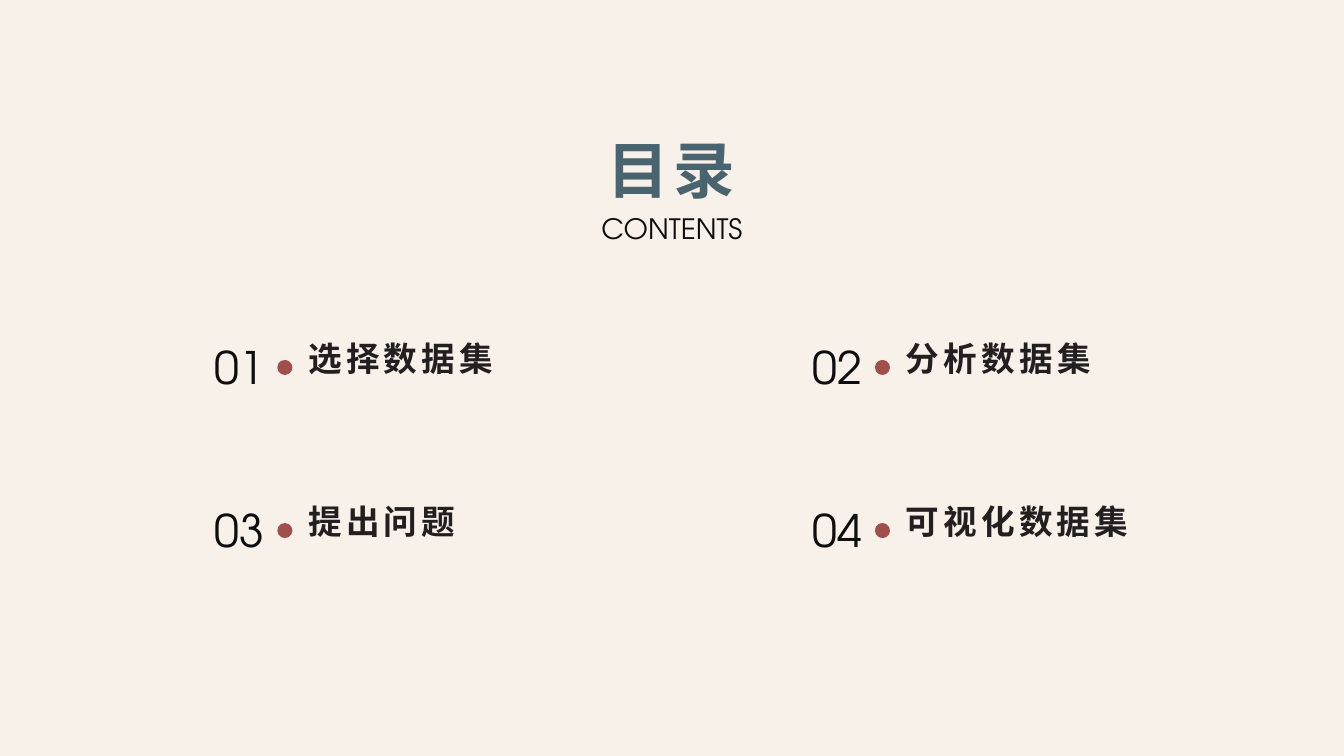
from lxml import etree
from pptx import Presentation
from pptx.dml.color import RGBColor
from pptx.enum.shapes import MSO_SHAPE
from pptx.enum.text import MSO_ANCHOR, MSO_AUTO_SIZE, PP_ALIGN
from pptx.oxml.ns import qn
from pptx.util import Cm, Pt

OVAL = MSO_SHAPE.OVAL
TOP = MSO_ANCHOR.TOP
GROW = MSO_AUTO_SIZE.SHAPE_TO_FIT_TEXT
LEFT, CENTER = PP_ALIGN.LEFT, PP_ALIGN.CENTER

CHINESE_FONT = "Noto Sans CJK SC"
LATIN_FONT = "TeX Gyre Adventor"
CREAM, SLATE, BRICK = "F7F1E9", "49646E", "A14F4C"
INK, BLACK = "231E1F", "0D0D0D"

CHAPTERS = ["选择数据集", "分析数据集", "提出问题", "可视化数据集"]
COLUMNS = 2
COLUMN_STEP, ROW_STEP = 15.06, 4.11
CHARACTER_WIDTH, SIDE_INSETS = 0.965, 0.51


def paint(fill, color):
    """Make a fill solid in the given hex colour."""
    fill.solid()
    fill.fore_color.rgb = RGBColor.from_string(color)


def place(shape, left, top, width, height):
    """Set the position and size of a shape in centimetres."""
    shape.left, shape.top = Cm(left), Cm(top)
    shape.width, shape.height = Cm(width), Cm(height)


def write(shape, text, size, color, font_name, align, wrap=True):
    """Put one line of formatted text into a shape."""
    frame = shape.text_frame
    frame.text = text
    frame.word_wrap = wrap
    frame.auto_size = GROW
    frame.vertical_anchor = TOP
    paragraph = frame.paragraphs[0]
    paragraph.alignment = align
    font = paragraph.runs[0].font
    font.name, font.size = font_name, Pt(size)
    font.color.rgb = RGBColor.from_string(color)
    return paragraph.runs[0]


def write_chinese(shape, text, size, color, align):
    """Write a bold, letter-spaced Chinese line."""
    run = write(shape, text, size, color, CHINESE_FONT, align, wrap=False)
    run.font.bold = True
    properties = run.font._element
    properties.set("spc", "300")
    etree.SubElement(properties, qn("a:ea")).set("typeface", CHINESE_FONT)


def add_latin(slide, text, size, box):
    """Add a centred line in the Latin typeface."""
    latin_box = slide.shapes.add_textbox(*map(Cm, box))
    write(latin_box, text, size, BLACK, LATIN_FONT, CENTER)


def add_dot(slide, left, top):
    """Add the round separator between number and chapter name."""
    dot = slide.shapes.add_shape(OVAL, Cm(left), Cm(top), Cm(0.38), Cm(0.38))
    dot.shadow.inherit = False
    paint(dot.fill, BRICK)
    dot.line.fill.background()


def add_chapter(slide, index, chapter):
    """Add one numbered chapter at its place in the grid."""
    row, column = divmod(index, COLUMNS)
    x, y = column * COLUMN_STEP, row * ROW_STEP
    name_width = SIDE_INSETS + CHARACTER_WIDTH * len(chapter)
    name_box = slide.shapes.add_textbox(
        Cm(7.52 + x), Cm(8.38 + y), Cm(name_width), Cm(1.28))
    write_chinese(name_box, chapter, 24, INK, LEFT)
    add_latin(slide, f"{index + 1:02d}", 32, (4.98 + x, 8.43 + y, 2.13, 1.62))
    add_dot(slide, 6.99 + x, 9.07 + y)


def main():
    """Build the contents slide and save it."""
    presentation = Presentation()
    presentation.slide_width, presentation.slide_height = Cm(33.87), Cm(19.05)
    slide = presentation.slides.add_slide(presentation.slide_layouts[5])
    paint(slide.background.fill, CREAM)

    title = slide.shapes.title
    place(title, 14.99, 3.2, 3.86, 2.13)
    write_chinese(title, "目录", 44, SLATE, CENTER)
    add_latin(slide, "CONTENTS", 20, (13.67, 5.21, 6.53, 1.11))

    for index, chapter in enumerate(CHAPTERS):
        add_chapter(slide, index, chapter)

    presentation.save("out.pptx")


if __name__ == "__main__":
    main()
